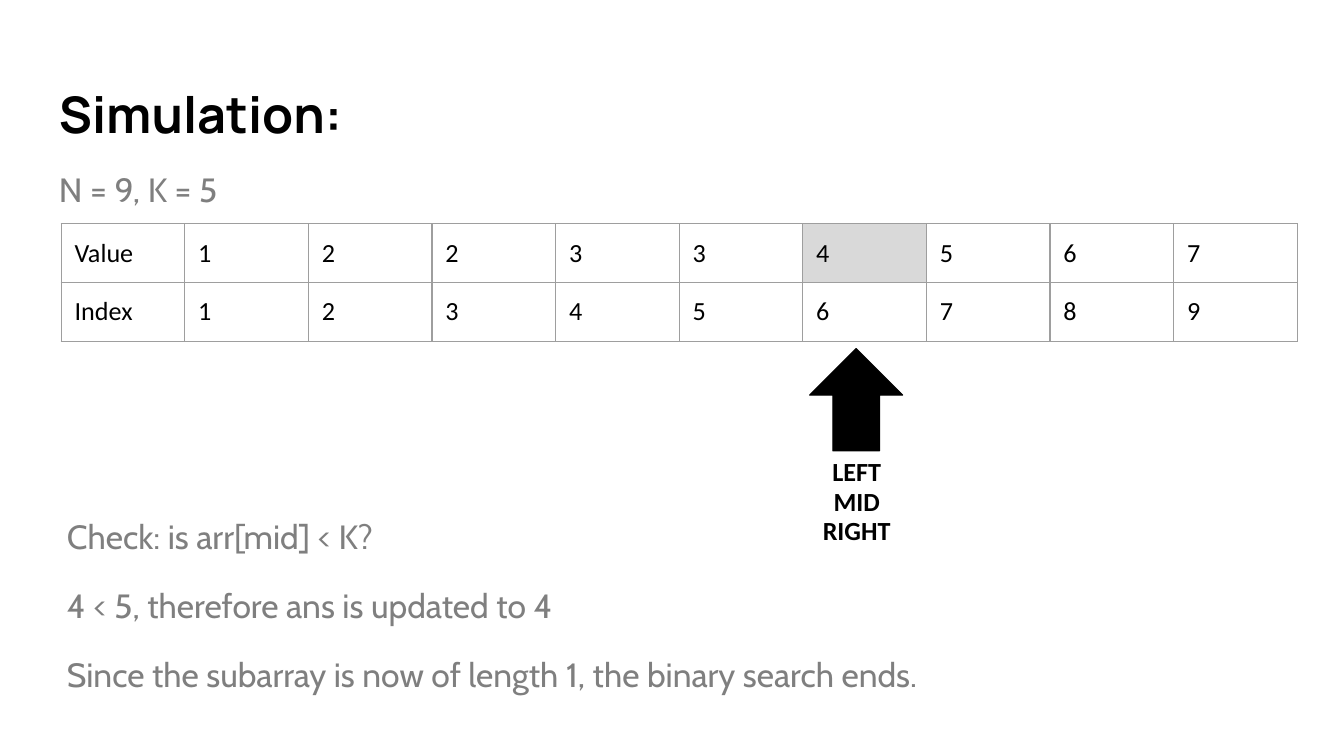
"""Build the closing step of a binary search simulation slide."""
from dataclasses import dataclass

from lxml import etree
from pptx import Presentation
from pptx import util as u
from pptx.dml import color
from pptx.enum import shapes, text
from pptx.oxml import ns


@dataclass(frozen=True)
class Theme:
    ink: str = "000000"
    border: str = "9E9E9E"
    highlight: str = "D9D9D9"
    title: tuple = ("Manrope", 27, True, "000000")
    body: tuple = ("Cabin", 18, False, "7F7F7F")
    entry: tuple = ("Calibri", 14, False, "000000")
    marker: tuple = ("Calibri", 14, True, "000000")
    stroke: float = 0.75


theme = Theme()
deck = Presentation()
deck.slide_width = u.Inches(10)
deck.slide_height = deck.slide_width * 9 // 16
slide = deck.slides.add_slide(deck.slide_layouts[6])
column = deck.slide_width / 100
row = deck.slide_height / 56.25


def place(left, top, width, height):
    return [round(n * unit) for n, unit in zip((left, top, width, height), (column, row) * 2)]


def write(frame, lines, style, align=text.PP_ALIGN.LEFT, spacing=1, gap=0):
    frame.text = "\n".join(lines)
    name, size, bold, colour = style
    for position, paragraph in enumerate(frame.paragraphs):
        paragraph.alignment = align
        paragraph.line_spacing = spacing
        paragraph.space_before = u.Pt(gap if position else 0)
        for run in paragraph.runs:
            run.font.name, run.font.size, run.font.bold = name, u.Pt(size), bold
            run.font.color.rgb = color.RGBColor.from_string(colour)


markers = ("LEFT", 6.5), ("MID", 6.1), ("RIGHT", 8.4)
marker_centre, marker_top, marker_step = 63.75, 32.9, 2.2
explanation = [
    "Check: is arr[mid] < K?",
    "4 < 5, therefore ans is updated to 4",
    "Since the subarray is now of length 1, the binary search ends.",
]
passages = [
    (place(3.4, 4.9, 93.2, 6.8), ["Simulation:"], theme.title, text.PP_ALIGN.LEFT, 1, 0),
    (place(3.4, 11.1, 93.2, 4.9), ["N = 9, K = 5"], theme.body, text.PP_ALIGN.LEFT, 1.15, 0),
    (place(4, 36.95, 93.2, 17.3), explanation, theme.body, text.PP_ALIGN.LEFT, 1.15, 12),
]
for step, (word, width) in enumerate(markers):
    spot = place(marker_centre - width / 2, marker_top + step * marker_step, width, 4)
    passages.append((spot, [word], theme.marker, text.PP_ALIGN.CENTER, 1, 0))

values = [1, 2, 2, 3, 3, 4, 5, 6, 7]
middle = 6
records = [["Value", *values], ["Index", *range(1, len(values) + 1)]]
array = slide.shapes.add_table(2, len(records[0]), *place(4.55, 16.65, 92, 8.6)).table
array.first_row = array.horz_banding = False
for r, record in enumerate(records):
    for c, entry in enumerate(record):
        cell = array.cell(r, c)
        cell.margin_left = cell.margin_right = round(column)
        cell.margin_top = cell.margin_bottom = round(row)
        write(cell.text_frame, [str(entry)], theme.entry)
        properties = cell._tc.get_or_add_tcPr()
        for side in ("lnL", "lnR", "lnT", "lnB"):
            edge = etree.SubElement(properties, ns.qn(f"a:{side}"), w=str(u.Pt(theme.stroke)))
            paint = etree.SubElement(edge, ns.qn("a:solidFill"))
            etree.SubElement(paint, ns.qn("a:srgbClr"), val=theme.border)
        if (r, c) == (0, middle):
            cell.fill.solid()
            cell.fill.fore_color.rgb = color.RGBColor.from_string(theme.highlight)
        else:
            cell.fill.background()

pointer = slide.shapes.add_shape(shapes.MSO_SHAPE.UP_ARROW, *place(60.25, 25.95, 6.9, 7.6))
pointer.shadow.inherit = False
pointer.fill.solid()
pointer.fill.fore_color.rgb = color.RGBColor.from_string(theme.ink)
pointer.line.color.rgb = color.RGBColor.from_string(theme.ink)
pointer.line.width = u.Pt(theme.stroke)

for spot, lines, style, align, spacing, gap in passages:
    frame = slide.shapes.add_textbox(*spot).text_frame
    frame.word_wrap = True
    frame.margin_left = frame.margin_right = round(column)
    frame.margin_top = frame.margin_bottom = round(row)
    frame.vertical_anchor = (
        text.MSO_ANCHOR.BOTTOM if style == theme.title else text.MSO_ANCHOR.TOP
    )
    write(frame, lines, style, align, spacing, gap)

deck.save("out.pptx")
